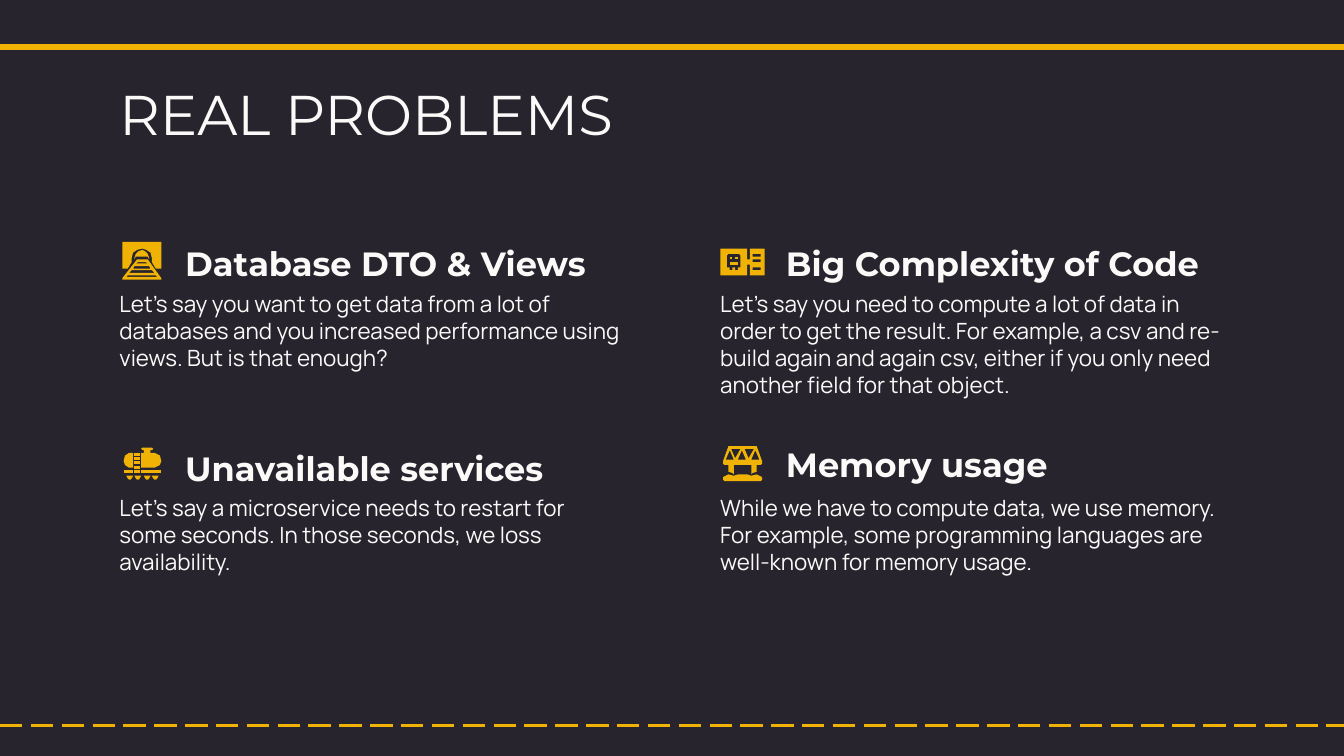
from pptx import Presentation
from pptx.dml.color import RGBColor
from pptx.enum.dml import MSO_LINE
from pptx.enum.shapes import MSO_CONNECTOR
from pptx.enum.text import MSO_ANCHOR
from pptx.oxml.ns import qn
from pptx.util import Inches, Pt
from lxml import etree

STRAIGHT = MSO_CONNECTOR.STRAIGHT
LONG_DASH = MSO_LINE.LONG_DASH
TOP, BOTTOM = MSO_ANCHOR.TOP, MSO_ANCHOR.BOTTOM

COLORS = {"ground": "27242E", "accent": "F0B205", "text": "FCFAF8"}
WIDTH = 10
HEIGHT = WIDTH * 9 / 16
COLUMNS = (0.79, 5.26)
ROWS = (2.06, 3.58)
ICON_UNIT = Inches(0.01)


def rectangle(left, top, right, bottom):
    return [(left, top), (right, top), (right, bottom), (left, bottom)]


def cup(left):
    return [(left, 21), (left + 1, 23), (left + 2, 24),
            (left + 3, 24), (left + 4, 23), (left + 5, 21)]


TUNNEL = [
    [[(11, 13), (0, 27), (0, 28), (29, 28), (29, 27), (19, 13)],
     [(12, 15), (17, 15), (19, 16), (10, 16)],
     [(9, 18), (20, 18), (21, 20), (8, 20)],
     [(7, 21), (22, 21), (24, 23), (5, 23)],
     [(4, 25), (25, 25), (26, 26), (3, 26)]],
    [[(9, 13), (9, 12), (10, 9), (12, 7), (15, 6), (17, 7), (19, 9),
      (20, 12), (20, 13), (19, 11), (10, 11)]],
    [[(0, 0), (0, 20), (4, 20), (7, 15), (7, 12), (8, 8), (11, 6), (15, 5),
      (18, 6), (21, 8), (22, 12), (22, 15), (25, 20), (29, 20), (29, 0)]],
]
TANKER = [
    *[[cup(left)] for left in (2, 8, 15, 21)],
    *[[rectangle(8, top, 12, top + 2)] for top in (4, 7, 10, 14, 17)],
    [[(7, 4), (4, 4), (1, 6), (0, 10), (1, 13), (4, 15), (7, 15)]],
    [[(14, 0), (13, 1), (14, 2), (15, 2), (15, 4), (13, 4), (13, 15),
      (23, 15), (27, 13), (28, 10), (27, 6), (23, 4), (20, 4), (20, 2),
      (21, 2), (22, 1), (21, 0)]],
    [rectangle(0, 17, 7, 19)],
    [rectangle(13, 17, 28, 19)],
]
TICKET = [
    [rectangle(0, 0, 20, 20), rectangle(22, 0, 33, 20),
     rectangle(20, 8, 22, 12),
     [(5, 5), (6, 4), (14, 4), (15, 5), (15, 14), (13, 14), (13, 16),
      (11, 16), (11, 14), (9, 14), (9, 16), (7, 16), (7, 14), (5, 14)],
     *[rectangle(24, top, 30, top + 2) for top in (4, 8, 14)]],
    [rectangle(7, 6, 9, 8)],
    [rectangle(11, 6, 13, 8)],
    [rectangle(7, 10, 13, 12)],
]
BRIDGE = [
    [[(4, 0), (0, 11), (0, 13), (1, 14), (4, 14), (4, 19), (7, 20), (8, 21),
      (8, 14), (21, 14), (21, 21), (22, 20), (25, 19), (25, 14), (28, 14),
      (29, 13), (29, 11), (25, 0)],
     *[[(left, 2), (left + 7, 2), (left + 3, 9)] for left in (6, 16)],
     *[[(peak, 3), (peak + 3, 10), (peak - 3, 10)] for peak in (5, 14, 24)]],
    [[(0, 23), (4, 21), (8, 22), (11, 21), (14, 21), (18, 21), (21, 22),
      (25, 21), (29, 23), (29, 25), (28, 26), (1, 26), (0, 25)]],
]

TITLE = "REAL PROBLEMS"
PROBLEMS = [
    {"cell": (0, 0), "heading": "Database DTO & Views", "lift": 0.26,
     "icon": TUNNEL, "icon_shift": (0.12, -0.26),
     "body": "Let’s say you want to get data from a lot of databases and you "
             "increased performance using views. But is that enough?"},
    {"cell": (0, 1), "heading": "Unavailable services", "lift": 0.26,
     "icon": TANKER, "icon_shift": (0.13, -0.25),
     "body": "Let’s say a microservice needs to restart for some seconds. "
             "In those seconds, we loss availability."},
    {"cell": (1, 0), "heading": "Big Complexity of Code", "lift": 0.26,
     "icon": TICKET, "icon_shift": (0.1, -0.21),
     "body": "Let’s say you need to compute a lot of data in order to get the "
             "result. For example, a csv and re-build again and again csv, "
             "either if you only need another field for that object."},
    {"cell": (1, 1), "heading": "Memory usage", "lift": 0.29,
     "icon": BRIDGE, "icon_shift": (0.12, -0.26),
     "body": "While we have to compute data, we use memory. For example, some "
             "programming languages are well-known for memory usage."},
]


def color(name):
    return RGBColor.from_string(COLORS[name])


def add_rule(page, y, weight, dash=None):
    rule = page.shapes.add_connector(
        STRAIGHT, 0, Inches(y), Inches(WIDTH), Inches(y))
    rule.line.color.rgb = color("accent")
    rule.line.width = Pt(weight)
    if dash:
        rule.line.dash_style = dash
    etree.SubElement(rule._element.spPr, qn("a:effectLst"))


def add_text(page, text, area, font, size, bold=False, anchor=TOP):
    box = page.shapes.add_textbox(*[Inches(length) for length in area])
    frame = box.text_frame
    frame.word_wrap = True
    frame.vertical_anchor = anchor
    frame.margin_left = frame.margin_right = Inches(0.1)
    frame.margin_top = frame.margin_bottom = Inches(0.1)
    span = frame.paragraphs[0].add_run()
    span.text = text
    span.font.name = font
    span.font.size = Pt(size)
    span.font.bold = bold
    span.font.color.rgb = color("text")


def add_icon(page, parts, left, top):
    group = page.shapes.add_group_shape()
    for first, *others in parts:
        builder = group.shapes.build_freeform(*first[0], scale=ICON_UNIT)
        builder.add_line_segments(first[1:], close=True)
        for outline in others:
            builder.move_to(*outline[0])
            builder.add_line_segments(outline[1:], close=True)
        shape = builder.convert_to_shape(Inches(left), Inches(top))
        shape.shadow.inherit = False
        shape.fill.solid()
        shape.fill.fore_color.rgb = color("accent")
        shape.line.fill.background()


def main():
    deck = Presentation()
    deck.slide_width, deck.slide_height = Inches(WIDTH), Inches(HEIGHT)
    page = deck.slides.add_slide(deck.slide_layouts[6])
    page.background.fill.solid()
    page.background.fill.fore_color.rgb = color("ground")

    add_rule(page, 5.4, 1.5, LONG_DASH)
    add_rule(page, 0.35, 3)
    add_text(page, TITLE, (COLUMNS[0], 0.49, 8.43, 0.63), "Montserrat", 30)

    for problem in PROBLEMS:
        column, row = problem["cell"]
        left, top = COLUMNS[column], ROWS[row]
        shift_x, shift_y = problem["icon_shift"]
        add_text(page, problem["body"], (left, top, 3.95, 0.84), "Manrope", 12)
        add_text(page, problem["heading"],
                 (left + 0.49, top - problem["lift"], 3.46, 0.41),
                 "Montserrat", 18, bold=True, anchor=BOTTOM)
        add_icon(page, problem["icon"], left + shift_x, top + shift_y)

    deck.save("out.pptx")


if __name__ == "__main__":
    main()
